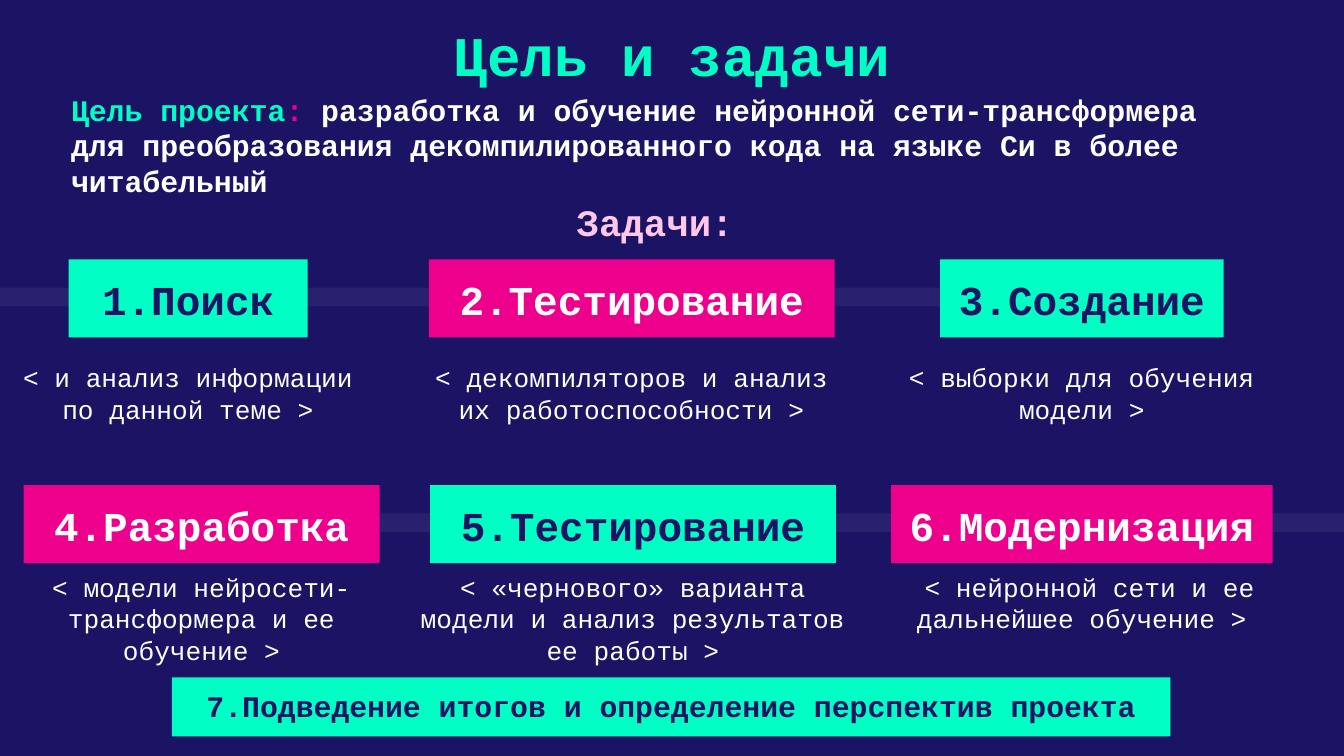
from pptx import Presentation
from pptx.dml.color import RGBColor
from pptx.enum.shapes import MSO_SHAPE
from pptx.enum.text import MSO_ANCHOR, PP_ALIGN
from pptx.util import Inches, Pt
from lxml import etree

RECT = MSO_SHAPE.RECTANGLE
TOP, BOTTOM = MSO_ANCHOR.TOP, MSO_ANCHOR.BOTTOM
LEFT, CENTER = PP_ALIGN.LEFT, PP_ALIGN.CENTER
NAVY = RGBColor(0x1B, 0x14, 0x64)
MINT = RGBColor(0x00, 0xFF, 0xC5)
PINK = RGBColor(0xEC, 0x00, 0x8C)
ROSE = RGBColor(0xFF, 0xC8, 0xE9)
WHITE = RGBColor(0xFF, 0xFF, 0xFF)
FONT = "Courier New"
NS = "http://schemas.openxmlformats.org/drawingml/2006/main"

ROWS = [
    (1.93, 2.59, [
        (1.4, 1.78, 2.74, "Поиск", "< и анализ информации по данной теме >"),
        (4.7, 3.02, 3.29, "Тестирование",
         "< декомпиляторов и анализ их работоспособности >"),
        (8.05, 2.11, 3.38, "Создание", "< выборки для обучения модели >"),
    ]),
    (3.61, 4.15, [
        (1.5, 2.65, 3.16, "Разработка",
         "< модели нейросети-трансформера и ее обучение >"),
        (4.71, 3.02, 3.38, "Тестирование",
         "< «чернового» варианта модели и анализ результатов ее работы >"),
        (8.05, 2.84, 3.22, "Модернизация",
         " < нейронной сети и ее дальнейшее обучение >"),
    ]),
]


def add_run(para, text, size=14, color=WHITE, bold=False):
    """Append formatted text to a paragraph."""
    run = para.add_run()
    run.text = text
    run.font.name = FONT
    run.font.size = Pt(size)
    run.font.bold = bold
    run.font.color.rgb = color


def set_frame(shape, anchor=TOP, side=0.1, edge=0.1):
    """Prepare a wrapping text frame and return it."""
    frame = shape.text_frame
    frame.word_wrap = True
    frame.vertical_anchor = anchor
    frame.margin_left = frame.margin_right = Inches(side)
    frame.margin_top = frame.margin_bottom = Inches(edge)
    return frame


def add_text(slide, box, text, **style):
    """Place centred text in a box."""
    shape = slide.shapes.add_textbox(*map(Inches, box))
    para = set_frame(shape).paragraphs[0]
    para.alignment = CENTER
    add_run(para, text, **style)


def add_bar(slide, box, fill):
    """Draw a plain filled rectangle."""
    bar = slide.shapes.add_shape(RECT, *map(Inches, box))
    bar.shadow.inherit = False
    bar.fill.solid()
    bar.fill.fore_color.rgb = fill
    bar.line.fill.background()
    return bar


def add_band(slide, box):
    """Draw a faint band behind a row."""
    band = add_bar(slide, box, WHITE)
    color = band.element.spPr.find(f".//{{{NS}}}srgbClr")
    etree.SubElement(color, f"{{{NS}}}alpha", val="6000")


def add_label(slide, box, num, text, size=22):
    """Draw a numbered label, mint for odd numbers and pink for even."""
    fill, ink = (MINT, NAVY) if num % 2 else (PINK, WHITE)
    bar = add_bar(slide, box, fill)
    para = set_frame(bar, BOTTOM).paragraphs[0]
    para.alignment = CENTER
    add_run(para, f"{num}.{text}", size=size, color=ink, bold=True)


def add_goal(slide, box):
    """Place the project goal and the heading of the tasks."""
    shape = slide.shapes.add_textbox(*map(Inches, box))
    frame = set_frame(shape, edge=0.05)
    goal = frame.paragraphs[0]
    goal.alignment = LEFT
    for text, color in (
        ("Цель проекта", MINT),
        (":", PINK),
        (" разработка и обучение нейронной сети-трансформера для "
         "преобразования декомпилированного кода на языке Си в более "
         "читабельный", WHITE),
    ):
        add_run(goal, text, size=16, color=color, bold=True)
    head = frame.add_paragraph()
    head.alignment = CENTER
    add_run(head, "Задачи:", size=20, color=ROSE, bold=True)


def add_tasks(slide):
    """Place the rows of tasks, each label above its note."""
    num = 1
    for top, low, tasks in ROWS:
        for mid, wide, span, name, note in tasks:
            add_text(slide, (mid - span / 2, low, span, 0.73), note)
            add_label(slide, (mid - wide / 2, top, wide, 0.58), num, name)
            num += 1


def build():
    """Build the slide and save it."""
    deck = Presentation()
    deck.slide_width, deck.slide_height = Inches(10), Inches(10) * 9 // 16
    slide = deck.slides.add_slide(deck.slide_layouts[6])
    slide.background.fill.solid()
    slide.background.fill.fore_color.rgb = NAVY
    add_band(slide, (0, 2.14, 8.52, 0.14))
    add_band(slide, (1.02, 3.82, 8.98, 0.14))
    add_text(slide, (1.4, 0.05, 7.2, 0.73), "Цель и задачи",
             size=30, color=MINT, bold=True)
    add_tasks(slide)
    add_goal(slide, (0.43, 0.63, 8.89, 1.48))
    add_label(slide, (1.28, 5.04, 7.43, 0.44), 7,
              "Подведение итогов и определение перспектив проекта", size=16)
    deck.save("out.pptx")


build()
